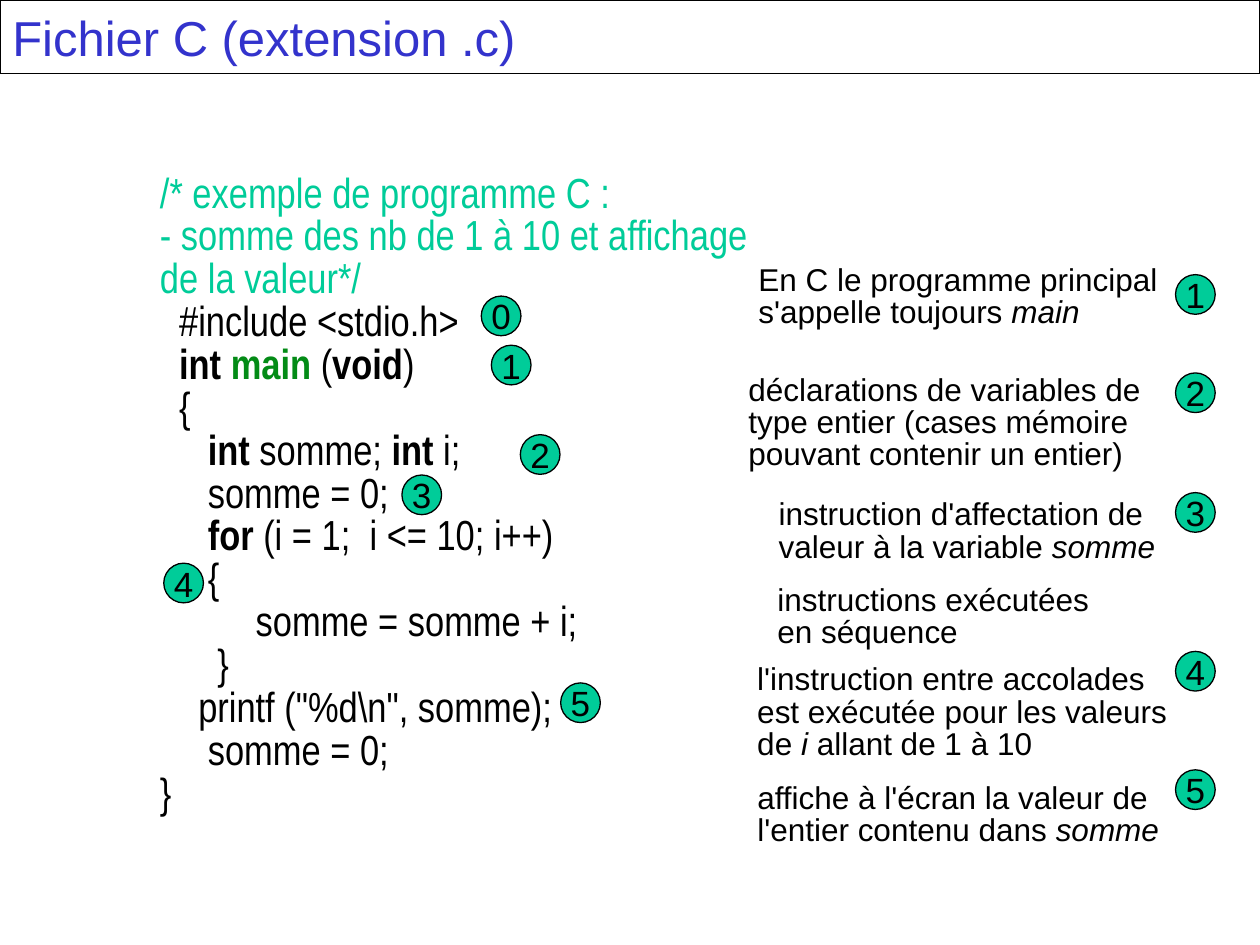
from dataclasses import dataclass
from typing import NamedTuple

from pptx import Presentation
from pptx.dml.color import RGBColor
from pptx.enum.shapes import MSO_CONNECTOR, MSO_SHAPE
from pptx.enum.text import MSO_ANCHOR, MSO_AUTO_SIZE, PP_ALIGN
from pptx.oxml.ns import qn
from pptx.util import Inches, Pt
from lxml import etree

RECTANGLE, OVAL = MSO_SHAPE.RECTANGLE, MSO_SHAPE.OVAL
STRAIGHT = MSO_CONNECTOR.STRAIGHT
MIDDLE, TOP = MSO_ANCHOR.MIDDLE, MSO_ANCHOR.TOP
LEFT, CENTER = PP_ALIGN.LEFT, PP_ALIGN.CENTER
GROW = MSO_AUTO_SIZE.SHAPE_TO_FIT_TEXT

# Square grid: 100 columns by 75 rows
COLUMNS, ROWS = 100, 75
CELL = Inches(10) // COLUMNS
TITLE_ROWS = 5.83
BADGE_COLUMNS, BADGE_ROWS = 3.15, 3.15
NOTE_BADGE_COLUMN = 93.3
INDENT = 0.76  # one code indent level, in columns

COLORS = {
    "title": "3333CC",
    "accent": "00CC99",
    "function": "038B16",
    "ink": "000000",
}


class Span(NamedTuple):
    text: str
    bold: bool = False
    italic: bool = False
    color: str = "ink"


class Line(NamedTuple):
    spans: list[Span]
    indent: int = 0


@dataclass
class Note:
    column: float
    row: float
    columns: float
    lines: list[Line]

    @property
    def rows(self) -> float:
        return 0.7 + 2.5 * len(self.lines)


@dataclass
class Step:
    """Explanations on the right that share one numbered badge."""
    number: str
    badge_row: float
    notes: list[Note]


def grid(cells: float) -> int:
    return round(cells * CELL)


def rgb(name: str) -> RGBColor:
    return RGBColor.from_string(COLORS[name])


def plain(text: str, indent: int = 0, color: str = "ink") -> Line:
    return Line([Span(text, color=color)], indent)


def ending_italic(start: str, term: str, end: str = "") -> Line:
    spans = [Span(start), Span(term, italic=True)]
    return Line(spans + [Span(end)] if end else spans)


def write_lines(frame, lines: list[Line], font: str, size: float,
                align=LEFT, spacing: float = 1.0) -> None:
    for index, line in enumerate(lines):
        paragraph = frame.paragraphs[0] if index == 0 else frame.add_paragraph()
        paragraph.alignment = align
        paragraph.line_spacing = spacing
        if line.indent:
            properties = paragraph._p.get_or_add_pPr()
            properties.set("marL", str(grid(line.indent * INDENT)))
            properties.set("indent", "0")
        for span in line.spans:
            run = paragraph.add_run()
            run.text = span.text
            run.font.name, run.font.size = font, Pt(size)
            run.font.bold, run.font.italic = span.bold, span.italic
            run.font.color.rgb = rgb(span.color)


def add_text(shapes, box: Note, font: str, size: float) -> None:
    frame = shapes.add_textbox(grid(box.column), grid(box.row),
                               grid(box.columns), grid(box.rows)).text_frame
    frame.margin_left = frame.margin_right = grid(0.7)
    frame.margin_top = frame.margin_bottom = grid(0.3)
    frame.word_wrap, frame.auto_size = True, GROW
    frame.vertical_anchor = TOP
    write_lines(frame, box.lines, font, size, spacing=0.85)


def add_badge(shapes, number: str, column: float, row: float) -> None:
    badge = shapes.add_shape(OVAL, grid(column), grid(row),
                             grid(BADGE_COLUMNS), grid(BADGE_ROWS))
    badge.shadow.inherit = False
    badge.fill.solid()
    badge.fill.fore_color.rgb = rgb("accent")
    badge.line.color.rgb, badge.line.width = rgb("ink"), Pt(0.75)
    badge.text_frame.word_wrap = False
    badge.text_frame.vertical_anchor = MIDDLE
    write_lines(badge.text_frame, [plain(number)], "Arial", 20, CENTER)


def add_title(shapes, text: str) -> None:
    rule = shapes.add_connector(STRAIGHT, 0, grid(TITLE_ROWS),
                                grid(COLUMNS), grid(TITLE_ROWS))
    rule.line.color.rgb, rule.line.width = rgb("title"), Pt(0.75)
    etree.SubElement(rule._element.spPr, qn("a:effectLst"))
    title = shapes.add_shape(RECTANGLE, 0, 0, grid(COLUMNS), grid(TITLE_ROWS))
    title.shadow.inherit = False
    title.fill.background()
    title.line.color.rgb, title.line.width = rgb("ink"), Pt(1)
    title.text_frame.vertical_anchor = MIDDLE
    write_lines(title.text_frame, [plain(text, color="title")], "Arial", 28)


PROGRAM = [
    plain("/* exemple de programme C :", color="accent"),
    plain("- somme des nb de 1 à 10 et affichage de la valeur*/", color="accent"),
    plain("#include <stdio.h>", 2),
    Line([Span("int ", bold=True), Span("main", bold=True, color="function"),
          Span(" ("), Span("void", bold=True), Span(")")], 2),
    plain("{", 2),
    Line([Span("int", bold=True), Span(" somme; "),
          Span("int", bold=True), Span(" i;")], 5),
    plain("somme = 0;", 5),
    Line([Span("for", bold=True), Span(" (i = 1;  i <= 10; i++)")], 5),
    plain("{", 5),
    plain("somme = somme + i;", 10),
    plain("}", 6),
    plain('printf ("%d\\n", somme);', 4),
    plain("somme = 0;", 5),
    plain("}"),
]

# Badges beside the code: number, column, row
CODE_BADGES = [
    ("0", 38.2, 23.5), ("1", 39, 27.4), ("2", 41.3, 34.5),
    ("3", 31.9, 37.7), ("4", 13, 44.7), ("5", 44.5, 54.2),
]

# Note widths leave room for the longest line
STEPS = [
    Step("1", 21.8, [Note(59.5, 20.8, 33.7, [
        plain("En C le programme principal"),
        ending_italic("s'appelle toujours ", "main")])]),
    Step("2", 29.6, [Note(58.7, 29.5, 33.7, [
        plain("déclarations de variables de"),
        plain("type entier (cases mémoire"),
        plain("pouvant contenir un entier)")])]),
    Step("3", 39.1, [Note(61.1, 39.4, 31.9, [
        plain("instruction d'affectation de"),
        ending_italic("valeur à la variable ", "somme")])]),
    Step("4", 51.7, [
        Note(61, 46.2, 26.8, [
            plain("instructions exécutées"),
            plain("en séquence")]),
        Note(59.4, 52.5, 34.6, [
            plain("l'instruction entre accolades"),
            plain("est exécutée pour les valeurs"),
            ending_italic("de ", "i", " allant de 1 à 10")])]),
    Step("5", 61.1, [Note(59.4, 61.9, 33.9, [
        plain("affiche à l'écran la valeur de"),
        ending_italic("l'entier contenu dans ", "somme")])]),
]


def main() -> None:
    deck = Presentation()
    deck.slide_width, deck.slide_height = grid(COLUMNS), grid(ROWS)
    shapes = deck.slides.add_slide(deck.slide_layouts[6]).shapes

    # Program listing under the title
    add_title(shapes, "Fichier C (extension .c)")
    add_text(shapes, Note(12, 13.5, 48.3, PROGRAM), "Arial Narrow", 24)
    for number, column, row in CODE_BADGES:
        add_badge(shapes, number, column, row)

    # Explanations, each grouped with its badge
    for step in STEPS:
        members = shapes.add_group_shape().shapes
        for note in step.notes:
            add_text(members, note, "Arial", 18)
        add_badge(members, step.number, NOTE_BADGE_COLUMN, step.badge_row)

    deck.save("out.pptx")


if __name__ == "__main__":
    main()
